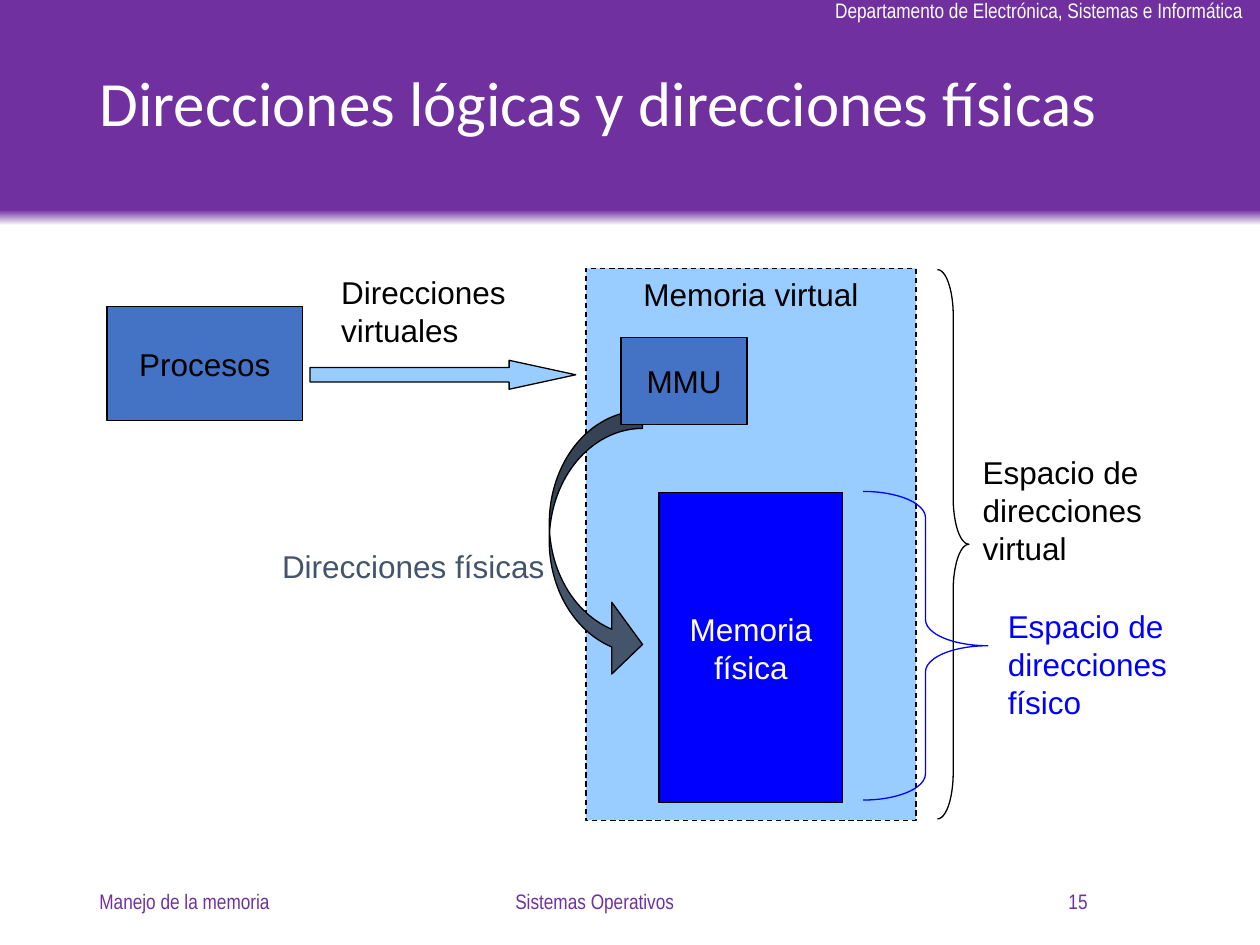
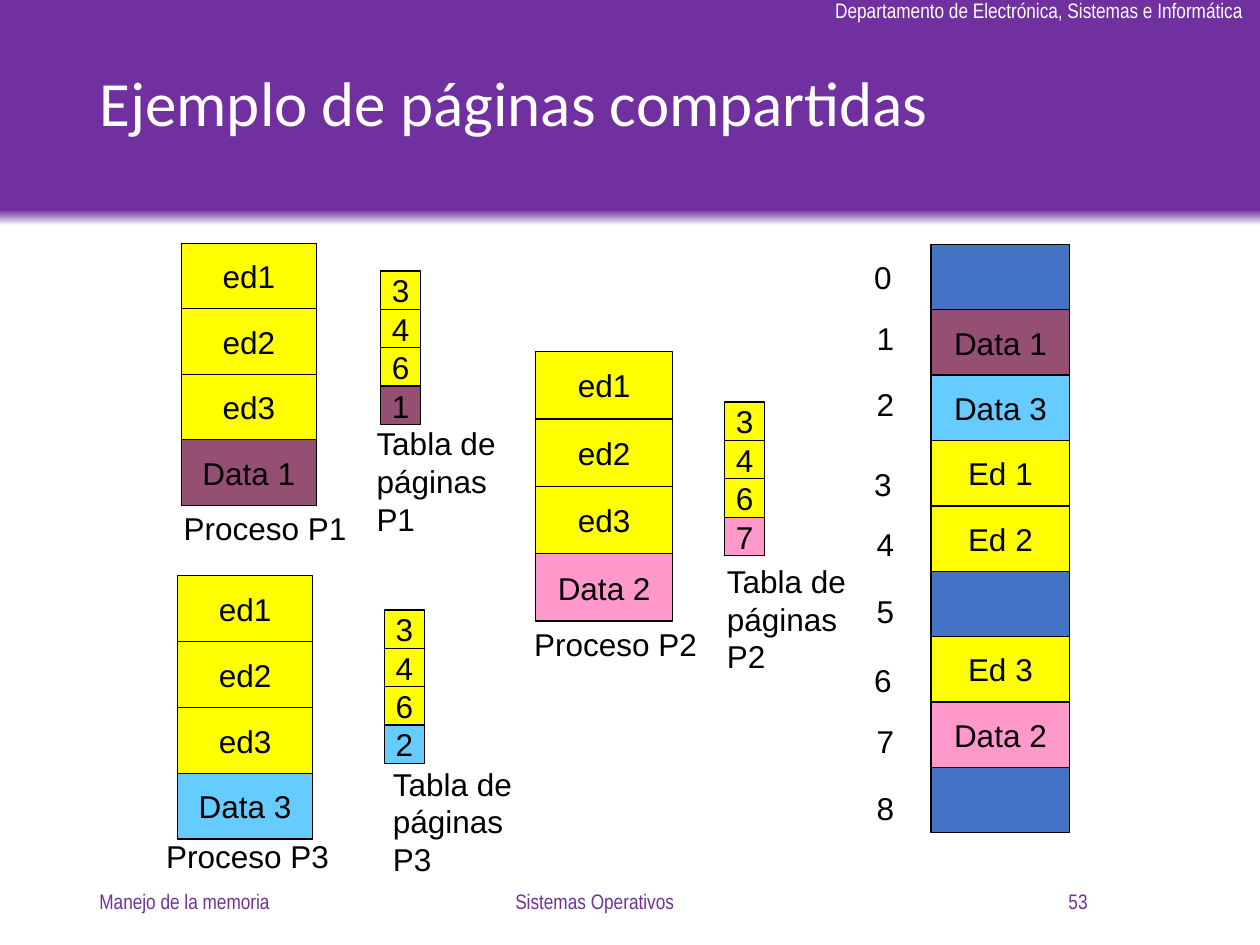
from lxml import etree
from pptx import Presentation
from pptx.dml.color import RGBColor
from pptx.enum import dml, shapes, text
from pptx.util import Inches, Pt

COLORS = {
    "purple": "7030A0", "white": "FFFFFF", "black": "000000",
    "sky": "99CCFF", "blue": "0000FF", "steel": "4472C4", "slate": "44546A",
    "yellow": "FFFF00", "plum": "954F72", "cyan": "66CCFF", "pink": "FF99CC",
}
SHAPE = shapes.MSO_SHAPE
LEFT, CENTER, RIGHT = text.PP_ALIGN.LEFT, text.PP_ALIGN.CENTER, text.PP_ALIGN.RIGHT
TOP, MIDDLE = text.MSO_ANCHOR.TOP, text.MSO_ANCHOR.MIDDLE

DEPARTMENT = "Departamento de Electrónica, Sistemas e Informática"
FOOTERS = [
    ("Manejo de la memoria", 0.69, 2.25, LEFT),
    ("Sistemas Operativos", 3.03, 3.38, CENTER),
]
NUMBER_BOX = (6.48, 2.25, RIGHT)

ADDRESS_LABELS = [
    ("Espacio de direcciones virtual", (7.7, 3.55, 1.69, 1), "black"),
    ("Espacio de direcciones físico", (7.9, 4.77, 1.64, 1), "blue"),
    ("Direcciones virtuales", (2.61, 2.12, 1.85, 0.7), "black"),
    ("Direcciones físicas", (2.14, 4.29, 2.5, 0.4), "slate"),
]

EDITOR = ["ed1", "ed2", "ed3"]
EDITOR_PAGES = ["3", "4", "6"]
PROCESSES = [
    {"name": "P1", "data": "Data 1", "page": "1", "color": "plum",
     "stack": (1.44, 1.93, 1.07, 2.08), "table": (3.02, 2.15),
     "label": (1.36, 3.99), "table_label": (2.89, 3.32)},
    {"name": "P2", "data": "Data 2", "page": "7", "color": "pink",
     "stack": (4.25, 2.79, 1.09, 2.14), "table": (5.75, 3.19),
     "label": (4.14, 4.91), "table_label": (5.67, 4.41)},
    {"name": "P3", "data": "Data 3", "page": "2", "color": "cyan",
     "stack": (1.41, 4.57, 1.07, 2.09), "table": (3.05, 4.84),
     "label": (1.22, 6.59), "table_label": (3.02, 6.02)},
]
TABLE_SIZE = (0.32, 1.22)
FRAMES = [
    ("", "steel"), ("Data 1", "plum"), ("Data 3", "cyan"),
    ("Ed 1", "yellow"), ("Ed 2", "yellow"), ("", "steel"),
    ("Ed 3", "yellow"), ("Data 2", "pink"), ("", "steel"),
]
FRAME_STACK = (7.39, 1.94, 1.1, 4.67)
NUMBER_GROUPS = [2, 3.64, 5.2]
NUMBER_OFFSETS = [(6.84, 0), (6.86, 0.48), (6.86, 1.01)]


def rgb(name):
    return RGBColor.from_string(COLORS[name])


def write(sp, words, color="black", size=18, font="Arial", align=LEFT,
          anchor=TOP, wrap=True):
    tf = sp.text_frame
    tf.text = words
    tf.word_wrap = wrap
    tf.vertical_anchor = anchor
    p = tf.paragraphs[0]
    p.alignment = align
    for r in p.runs:
        r.font.size = Pt(size)
        r.font.name = font
        r.font.color.rgb = rgb(color)
    return p


def add_text(s, words, box, color="black", **style):
    sp = s.shapes.add_textbox(*map(Inches, box))
    write(sp, words, color, **style)
    return sp


def add_figure(s, kind, box, fill=None, line="black", adjust=()):
    sp = s.shapes.add_shape(kind, *map(Inches, box))
    sp.shadow.inherit = False
    if fill:
        sp.fill.solid()
        sp.fill.fore_color.rgb = rgb(fill)
    else:
        sp.fill.background()
    sp.line.color.rgb = rgb(line)
    sp.line.width = Pt(0.75)
    for i, value in enumerate(adjust):
        sp.adjustments[i] = value
    return sp


def add_block(s, words, box, fill, color="black", anchor=MIDDLE, wrap=False):
    sp = add_figure(s, SHAPE.RECTANGLE, box, fill)
    if words:
        write(sp, words, color, align=CENTER, anchor=anchor, wrap=wrap)
    return sp


def add_stack(s, box, cells):
    x, y, w, total = box
    h = total / len(cells)
    for i, (words, fill) in enumerate(cells):
        add_block(s, words, (x, y + i * h, w, h), fill)


def add_layout_band(s):
    band = add_figure(s, SHAPE.RECTANGLE, (0, 0, 10, 1.79))
    band.line.fill.background()
    band.fill.gradient()
    band.fill.gradient_angle = 90
    for stop, position, color in zip(band.fill.gradient_stops, (0, 0.07), ("white", "purple")):
        stop.position = position
        stop.color.rgb = rgb(color)
    department = add_text(s, DEPARTMENT, (6.53, -0.07, 3.48, 0.3), "white",
                          size=12, font="Arial Narrow", wrap=False)
    tree = s.slide_layout.shapes._spTree
    for i, sp in enumerate((band, department)):
        tree.insert(2 + i, sp._element)


def add_slide(prs, title, number):
    s = prs.slides.add_slide(prs.slide_layouts[5])
    sp = s.shapes.title
    sp.left, sp.top, sp.width, sp.height = map(Inches, (0.69, 0.15, 8.62, 1.39))
    p = write(sp, title, "white", size=36, font="Calibri", anchor=MIDDLE)
    p.line_spacing = 0.9
    for words, x, w, align in FOOTERS + [(number, *NUMBER_BOX)]:
        add_text(s, words, (x, 6.95, w, 0.4), "purple", size=12,
                 font="Arial Narrow", align=align, anchor=MIDDLE)
    return s


def draw_addresses(s):
    virtual = add_block(s, "Memoria virtual", (4.65, 2.13, 2.62, 4.38), "sky", anchor=TOP)
    virtual.line.dash_style = dml.MSO_LINE.DASH
    add_figure(s, SHAPE.RIGHT_BRACE, (7.44, 2.14, 0.25, 4.36), adjust=(1.46, 0.5))
    add_block(s, "Memoria física", (5.23, 3.91, 1.46, 2.46), "blue", "white", wrap=True)
    add_figure(s, SHAPE.RIGHT_BRACE, (6.85, 3.9, 0.99, 2.45), line="blue", adjust=(0.21, 0.5))
    add_block(s, "Procesos", (0.85, 2.43, 1.55, 0.91), "steel")
    add_figure(s, SHAPE.RIGHT_ARROW, (2.46, 2.86, 2.11, 0.23), "sky", adjust=(0.5, 2.3))
    add_figure(s, SHAPE.CURVED_RIGHT_ARROW, (4.36, 3.26, 0.74, 2.14), "slate",
               adjust=(0.19, 0.77, 0.33))
    add_block(s, "MMU", (4.93, 2.68, 1, 0.69), "steel")
    for words, box, color in ADDRESS_LABELS:
        add_text(s, words, box, color)


def draw_shared_pages(s):
    for process in PROCESSES:
        name, color = process["name"], process["color"]
        pages = [(words, "yellow") for words in EDITOR] + [(process["data"], color)]
        entries = [(words, "yellow") for words in EDITOR_PAGES] + [(process["page"], color)]
        add_stack(s, process["stack"], pages)
        add_stack(s, process["table"] + TABLE_SIZE, entries)
        add_text(s, f"Proceso {name}", process["label"] + (1.49, 0.4))
        add_text(s, f"Tabla de páginas {name}", process["table_label"] + (1.27, 1))
    add_stack(s, FRAME_STACK, FRAMES)
    places = [(x, y + dy) for y in NUMBER_GROUPS for x, dy in NUMBER_OFFSETS]
    for number, place in enumerate(places):
        add_text(s, str(number), place + (0.34, 0.4))


def main():
    prs = Presentation()
    prs.slide_width, prs.slide_height = Inches(10), Inches(7.5)
    s = add_slide(prs, "Direcciones lógicas y direcciones físicas", "15")
    add_layout_band(s)
    draw_addresses(s)
    draw_shared_pages(add_slide(prs, "Ejemplo de páginas compartidas", "53"))
    prs.save("out.pptx")


if __name__ == "__main__":
    main()
